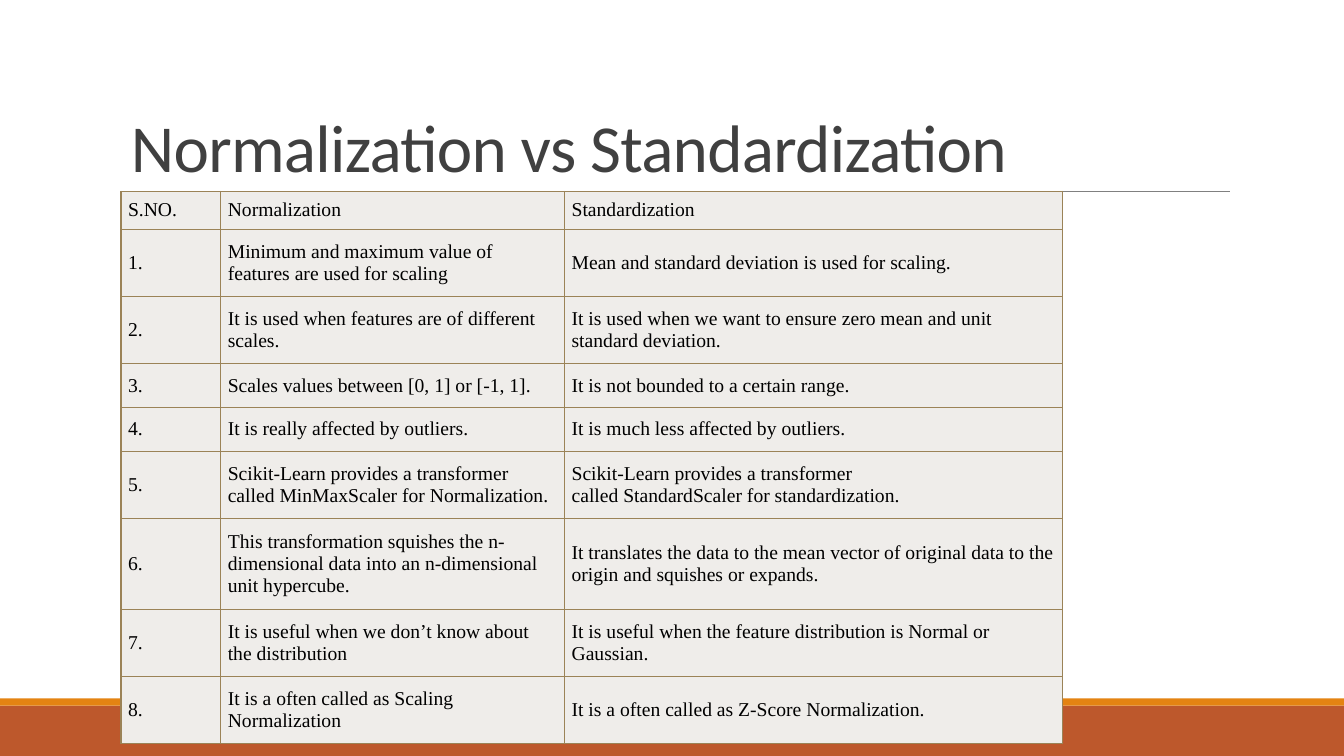
from dataclasses import dataclass

from lxml import etree
from pptx import Presentation, util as u
from pptx.dml.color import RGBColor
from pptx.enum import shapes, text
from pptx.oxml import ns

TITLE = "Normalization vs Standardization"
HEAD = ("S.NO.", "Normalization", "Standardization")
TIE = "~"  # stands for a space that never breaks
# Left text, right text, lines of the taller cell
PAIRS = [
    ("Minimum and maximum value of features are used for scaling",
     "Mean and standard deviation is used for scaling.", 2),
    ("It is used when features are of different scales.",
     "It is used when we want to ensure zero mean and unit standard deviation.", 2),
    ("Scales values between [0, 1] or [-1, 1].",
     "It is not bounded to a certain range.", 1),
    ("It is really affected by outliers.",
     "It is much less affected by outliers.", 1),
    ("Scikit-Learn provides a transformer called~MinMaxScaler~for Normalization.",
     "Scikit-Learn provides a transformer called~StandardScaler~for standardization.", 2),
    ("This transformation squishes the n-dimensional data into an n-dimensional unit hypercube.",
     "It translates the data to the mean vector of original data to the origin and squishes or expands.", 3),
    ("It is useful when we don’t know about the distribution",
     "It is useful when the feature distribution is Normal or Gaussian.", 2),
    ("It is a often called as Scaling Normalization",
     "It is a often called as Z-Score Normalization.", 2),
]


@dataclass(frozen=True)
class Theme:
    base: str = "BD582C"
    strip: str = "E48312"
    rule: str = "808080"
    title: str = "404040"
    ink: str = "000000"
    cell: str = "EFEDEA"
    edge: str = "9B8357"
    sans: str = "Calibri"
    serif: str = "Times New Roman"
    big: float = 48
    small: float = 14


T = Theme()
WIDE, HIGH = 13.33, 7.5
LEFT, TOP = 1.2, 1.9
COLS = (0.99, 3.41, 4.94)
NEAR, FAR = 0.07, 0.08  # left and right cell margins
HPAD, PAD = 0.07, 0.1
LINE = 15.55 / 72  # one line of table text


def rgb(code):
    return RGBColor.from_string(code)


def style(run, size, face, color):
    run.font.size = u.Pt(size)
    run.font.name = face
    run.font.color.rgb = rgb(color)


def band(slide, top, high, color):
    bar = slide.shapes.add_shape(shapes.MSO_SHAPE.RECTANGLE, 0, u.Inches(top),
                                 u.Inches(WIDE), u.Inches(high))
    bar.shadow.inherit = False
    bar.fill.solid()
    bar.fill.fore_color.rgb = rgb(color)
    bar.line.fill.background()


def rule(slide):
    line = slide.shapes.add_connector(shapes.MSO_CONNECTOR.STRAIGHT, u.Inches(1.31),
                                      u.Inches(TOP), u.Inches(12.2), u.Inches(TOP))
    line.line.color.rgb = rgb(T.rule)
    line.line.width = u.Pt(0.5)
    etree.SubElement(line._element.spPr, ns.qn("a:effectLst"))


def title(slide):
    box = slide.shapes.add_textbox(u.Inches(LEFT), u.Inches(0.31), u.Inches(11), u.Inches(1.59))
    frame = box.text_frame
    frame.word_wrap = True
    frame.vertical_anchor = text.MSO_ANCHOR.BOTTOM
    frame.text = TITLE
    para = frame.paragraphs[0]
    para.line_spacing = 0.85
    run = para.runs[0]
    style(run, T.big, T.sans, T.title)
    run._r.get_or_add_rPr().set("spc", "-50")


def edges(cell):
    props = cell._tc.get_or_add_tcPr()
    for side in ("lnL", "lnR", "lnT", "lnB"):
        line = etree.SubElement(props, ns.qn("a:" + side), w=str(u.Pt(1)))
        fill = etree.SubElement(line, ns.qn("a:solidFill"))
        etree.SubElement(fill, ns.qn("a:srgbClr"), val=T.edge)


def fill_cell(cell, words, pad):
    edges(cell)
    cell.fill.solid()
    cell.fill.fore_color.rgb = rgb(T.cell)
    cell.margin_left, cell.margin_right = u.Inches(NEAR), u.Inches(FAR)
    cell.margin_top = cell.margin_bottom = u.Inches(pad)
    cell.vertical_anchor = text.MSO_ANCHOR.MIDDLE
    cell.text_frame.text = words.replace(TIE, chr(160))
    style(cell.text_frame.paragraphs[0].runs[0], T.small, T.serif, T.ink)


def grid(slide):
    rows = [(HEAD, HPAD, 1)]
    rows += [((f"{n}.", a, b), PAD, lines) for n, (a, b, lines) in enumerate(PAIRS, 1)]
    highs = [2 * pad + LINE * lines for _, pad, lines in rows]
    table = slide.shapes.add_table(len(rows), len(COLS), u.Inches(LEFT), u.Inches(TOP),
                                   u.Inches(sum(COLS)), u.Inches(sum(highs))).table
    for col, wide in zip(table.columns, COLS):
        col.width = u.Inches(wide)
    for row, high, (words, pad, _) in zip(table.rows, highs, rows):
        row.height = u.Inches(high)
        for cell, word in zip(row.cells, words):
            fill_cell(cell, word, pad)


def main():
    deck = Presentation()
    deck.slide_width, deck.slide_height = u.Inches(WIDE), u.Inches(HIGH)
    slide = deck.slides.add_slide(deck.slide_layouts[6])
    band(slide, HIGH - 0.5, 0.5, T.base)
    band(slide, HIGH - 0.57, 0.07, T.strip)
    rule(slide)
    title(slide)
    grid(slide)
    deck.save("out.pptx")


if __name__ == "__main__":
    main()
